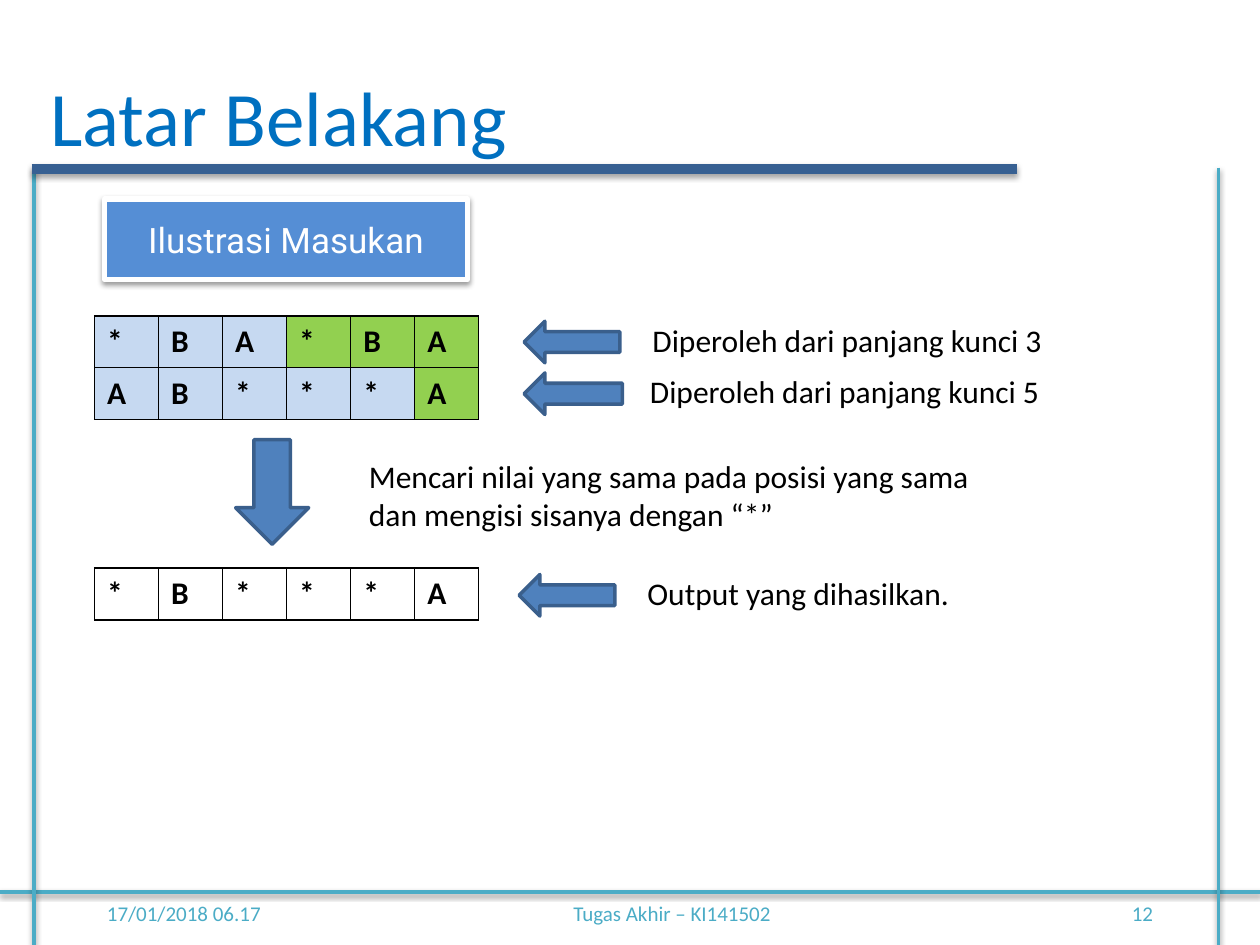
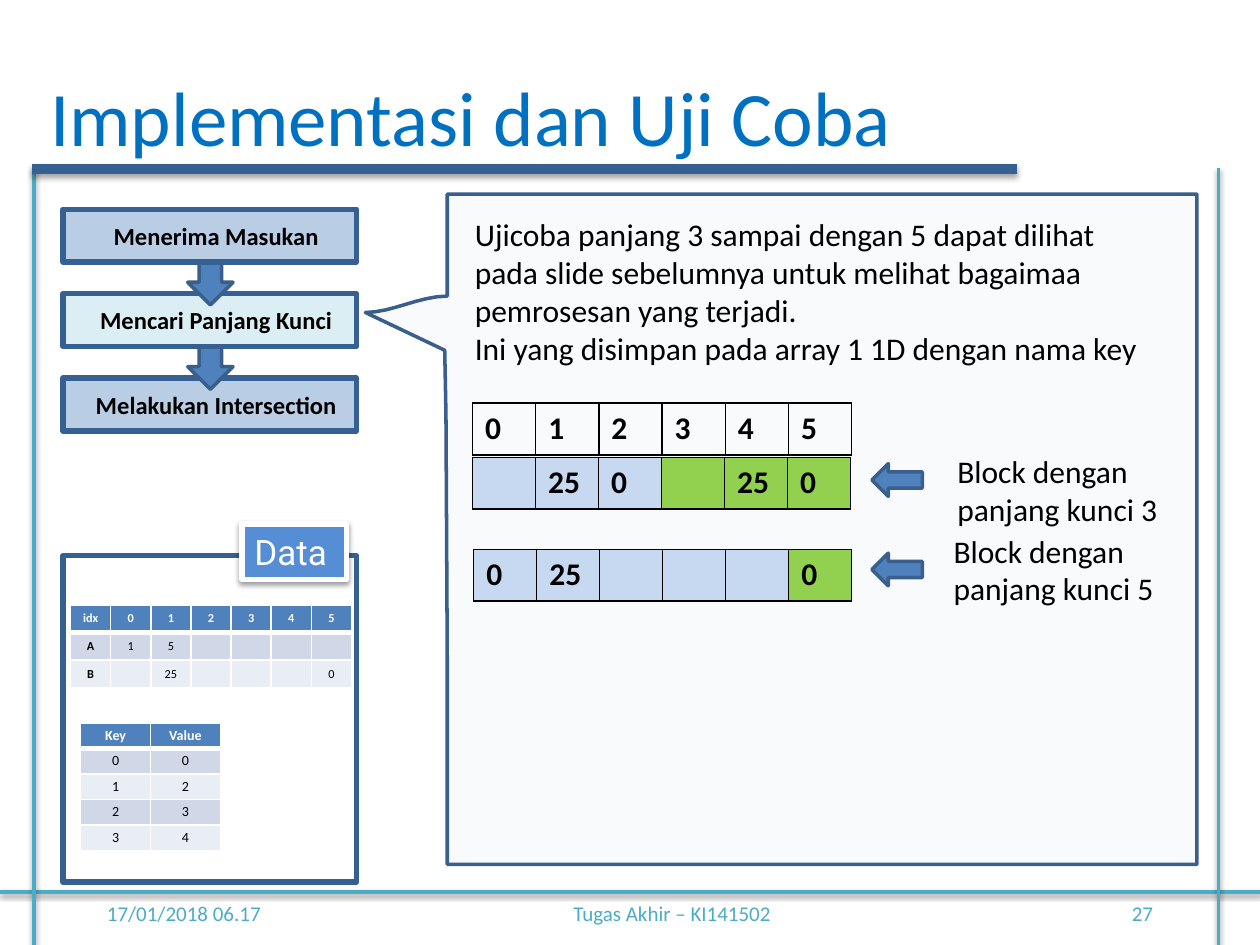
from lxml import etree
from pptx import Presentation
from pptx.dml.color import RGBColor
from pptx.enum.shapes import MSO_CONNECTOR, MSO_SHAPE
from pptx.enum.text import MSO_ANCHOR, PP_ALIGN
from pptx.oxml.ns import qn
from pptx.util import Inches, Pt

RECT, LEFT_ARROW, DOWN_ARROW = MSO_SHAPE.RECTANGLE, MSO_SHAPE.LEFT_ARROW, MSO_SHAPE.DOWN_ARROW
STRAIGHT = MSO_CONNECTOR.STRAIGHT
LEFT, CENTER, RIGHT = PP_ALIGN.LEFT, PP_ALIGN.CENTER, PP_ALIGN.RIGHT
TOP, MIDDLE = MSO_ANCHOR.TOP, MSO_ANCHOR.MIDDLE

BLACK, WHITE = "000000", "FFFFFF"
TEAL, TITLE, NAVY = "4BACC6", "0070C0", "376092"
BLUE, EDGE, LABEL = "4F81BD", "3A5F8C", "558ED5"
STEP, ACTIVE, PALE = "B9CDE5", "DBEEF4", "DCE6F2"
SKY, GREEN = "C6D9F1", "92D050"
BANDS = ["D0D8E8", "E9EDF4"]


def color(code):
    """Turn a hex string into a colour."""
    return RGBColor.from_string(code)


def node(parent, tag, **attrs):
    """Append a drawing element with its attributes."""
    return etree.SubElement(parent, qn(tag), {k: str(v) for k, v in attrs.items()})


def shade(shape, alpha=0, dist=1.6):
    """Replace the theme shadow by a soft one below, or by none."""
    effects = node(shape._element.spPr, "a:effectLst")
    if alpha:
        outer = node(effects, "a:outerShdw", blurRad=Pt(3.1), dist=Pt(dist),
                     dir=5400000, rotWithShape=0)
        tint = node(outer, "a:srgbClr", val=BLACK)
        node(tint, "a:alpha", val=alpha * 1000)


def edge(cell, side, code, width):
    """Draw one cell border; width 0 hides it."""
    line = node(cell._tc.get_or_add_tcPr(), "a:ln" + side, w=Pt(width))
    if width:
        node(node(line, "a:solidFill"), "a:srgbClr", val=code)
    else:
        node(line, "a:noFill")


def curve(start, first, second, end, steps=8):
    """Return the points of a cubic curve after its start."""
    points = []
    for i in range(1, steps + 1):
        t = i / steps
        u = 1 - t
        points.append(tuple(u**3 * a + 3 * u * u * t * b + 3 * u * t * t * c + t**3 * d
                            for a, b, c, d in zip(start, first, second, end)))
    return points


class Deck:
    """Holds the style and the slide being built."""

    def __init__(self):
        """Open an empty 10 by 7.5 inch deck."""
        self.prs = Presentation()
        self.prs.slide_width, self.prs.slide_height = Inches(10), Inches(7.5)
        self.slide = None

    def page(self, title, width, number):
        """Start a slide with its footer, rules and title."""
        self.slide = self.prs.slides.add_slide(self.prs.slide_layouts[6])
        for x, w, text, align in ((0.75, 2.08, "17/01/2018 06.17", LEFT),
                                  (3.75, 3.17, "Tugas Akhir – KI141502", CENTER),
                                  (7.17, 2.08, number, RIGHT)):
            self.text((x, 7, w, 0.5), text, 12, TEAL, align, MIDDLE)
        self.line(0, 7.08, 10, 7.08)
        for x in (0.27, 9.67):
            self.line(x, 1.33, x, 7.5)
        self.text((0.3, 0.5, width, 0.84), title, 44, TITLE, wrap=False)
        self.line(0.25, 1.34, 8.07, 1.34, NAVY, 6, 35, 1.8)

    def style(self, para, size, code, bold=False, align=LEFT, font="Calibri"):
        """Format a paragraph and its runs."""
        para.alignment = align
        for run in para.runs:
            run.font.name, run.font.size, run.font.bold = font, Pt(size), bold
            run.font.color.rgb = color(code)

    def text(self, box, text, size=18, code=BLACK, align=LEFT, anchor=TOP, wrap=True):
        """Add a text box, one paragraph a line."""
        frame = self.slide.shapes.add_textbox(*map(Inches, box)).text_frame
        frame.word_wrap, frame.vertical_anchor = wrap, anchor
        frame.text = text
        for para in frame.paragraphs:
            self.style(para, size, code, align=align)

    def line(self, x1, y1, x2, y2, code=TEAL, width=2, alpha=38, dist=1.6):
        """Add a shadowed rule."""
        rule = self.slide.shapes.add_connector(STRAIGHT, *map(Inches, (x1, y1, x2, y2)))
        rule.line.color.rgb, rule.line.width = color(code), Pt(width)
        shade(rule, alpha, dist)

    def shape(self, kind, box, fill, stroke, width, alpha=0):
        """Add a preset shape; no fill colour means hollow."""
        item = self.slide.shapes.add_shape(kind, *map(Inches, box))
        if fill:
            item.fill.solid()
            item.fill.fore_color.rgb = color(fill)
        else:
            item.fill.background()
        item.line.color.rgb, item.line.width = color(stroke), Pt(width)
        shade(item, alpha)
        return item

    def arrow(self, kind, *box):
        """Add a blue block arrow."""
        self.shape(kind, box, BLUE, EDGE, 2)

    def label(self, box, text, align=CENTER):
        """Add a white-framed heading label."""
        frame = self.shape(RECT, box, LABEL, WHITE, 3, 38).text_frame
        frame.text, frame.vertical_anchor = text, MIDDLE
        para = frame.paragraphs[0]
        self.style(para, 20, WHITE, align=align, font="Roboto")
        para.space_after = Pt(3)

    def step(self, y, text, fill):
        """Add one box of the process."""
        frame = self.shape(RECT, (0.5, y, 2.33, 0.42), fill, NAVY, 3).text_frame
        frame.text, frame.vertical_anchor = text, MIDDLE
        frame.margin_left = Inches(0.2)
        self.style(frame.paragraphs[0], 14, BLACK, True, CENTER)

    def bubble(self):
        """Add the see-through callout with its curved tail."""
        tip, base = (2.9, 2.48), (3.55, 2.35)
        points = [(9.5, 1.54), (9.5, 6.86), (3.55, 6.86), (3.55, 5.22), (3.54, 3.29),
                  (3.53, 2.78), tip, *curve(tip, (3.11, 2.48), (3.33, 2.35), base),
                  (3.55, 1.54)]
        points = [(Inches(x), Inches(y)) for x, y in points]
        path = self.slide.shapes.build_freeform(*points[0])
        path.add_line_segments(points[1:], close=True)
        item = path.convert_to_shape()
        item.fill.solid()
        item.fill.fore_color.rgb = color(PALE)
        tint = item._element.spPr.find(qn("a:solidFill"))[0]
        node(tint, "a:alpha", val=20000)
        item.line.color.rgb, item.line.width = color(EDGE), Pt(2)
        shade(item)

    def table(self, box, rows):
        """Add a plain table with equal columns and rows."""
        table = self.slide.shapes.add_table(len(rows), len(rows[0]),
                                            *map(Inches, box)).table
        table.first_row = table.horz_banding = False
        for col in table.columns:
            col.width = Inches(box[2] / len(rows[0]))
        for row in table.rows:
            row.height = Inches(box[3] / len(rows))
        return table

    def cell(self, cell, text, size, code, bold, align, fill, stroke, widths):
        """Fill one cell; widths are left, right, top and bottom."""
        for side, width in zip("LRTB", widths):
            edge(cell, side, stroke, width)
        if fill:
            cell.fill.solid()
            cell.fill.fore_color.rgb = color(fill)
        else:
            cell.fill.background()
        para = cell.text_frame.paragraphs[0]
        if text:
            para.text = text
        self.style(para, size, code, bold, align)
        if not text:
            node(para._p, "a:endParaRPr", sz=size * 100)

    def strip(self, x, y, width, values, fills, top=1):
        """Add a one-row array of bold values."""
        table = self.table((x, y, width, 0.41), [values])
        for cell, value, fill in zip(table.iter_cells(), values, fills):
            self.cell(cell, value, 18, BLACK, True, LEFT, fill, BLACK, (1, 1, top, 1))

    def grid(self, box, rows, size, pad, heads=False):
        """Add a banded table with a header row, maybe with row heads."""
        table = self.table(box, rows)
        for r, row in enumerate(rows):
            for c, value in enumerate(row):
                cell = table.cell(r, c)
                cell.margin_left = cell.margin_right = Inches(0.06)
                cell.margin_top = cell.margin_bottom = Inches(pad)
                self.cell(cell, value, size, BLACK if r else WHITE,
                          r == 0 or (heads and c == 0), CENTER,
                          BANDS[(r - 1) % 2] if r else BLUE, WHITE,
                          (1, 1, 3 if r == 1 else 1, 1 if r else 3))


deck = Deck()

# Input illustration
deck.page("Latar Belakang", 3.86, "12")
deck.label((0.83, 1.58, 2.88, 0.64), "Ilustrasi Masukan")
deck.strip(0.75, 2.51, 3.05, list("*BA*BA"), [SKY] * 3 + [GREEN] * 3)
deck.strip(0.75, 2.92, 3.05, list("AB***A"), [SKY] * 5 + [GREEN], top=0)
deck.arrow(LEFT_ARROW, 4.16, 2.55, 0.76, 0.33)
deck.arrow(LEFT_ARROW, 4.16, 2.96, 0.78, 0.33)
deck.text((5.08, 2.5, 3.46, 0.4), "Diperoleh dari panjang kunci 3")
deck.text((5.06, 2.9, 3.61, 0.4), "Diperoleh dari panjang kunci 5")
deck.arrow(DOWN_ARROW, 1.87, 3.49, 0.58, 0.83)
deck.text((2.83, 3.58, 5, 0.71),
          "Mencari nilai yang sama pada posisi yang sama dan mengisi sisanya dengan “*”")
deck.strip(0.75, 4.51, 3.05, list("*B***A"), [None] * 6)
deck.arrow(LEFT_ARROW, 4.12, 4.56, 0.76, 0.33)
deck.text((5.04, 4.51, 3.46, 0.4), "Output yang dihasilkan.")

# Key length search
deck.page("Implementasi dan Uji Coba", 6.95, "27")
deck.bubble()
deck.grid((0.64, 5.74, 1.11, 1.01),
          [["Key", "Value"], ["0", "0"], ["1", "2"], ["2", "3"], ["3", "4"]], 8, 0.03)
deck.shape(RECT, (0.5, 4.41, 2.33, 2.59), None, NAVY, 3)
deck.label((1.92, 4.16, 0.83, 0.44), "Data", LEFT)
steps = [("Menerima Masukan", STEP), ("Mencari Panjang Kunci", ACTIVE),
         ("Melakukan Intersection", STEP)]
for i in (2, 1, 0):
    y = 1.66 + 0.67 * i
    deck.step(y, *steps[i])
    if i:
        deck.arrow(DOWN_ARROW, 1.49, y - 0.33, 0.36, 0.42)
deck.grid((0.56, 4.8, 2.23, 0.66),
          [["idx", *"012345"], ["A", "1", "5", "", "", "", ""],
           ["B", "", "25", "", "", "", "0"]], 7, 0.05, heads=True)
deck.text((3.67, 1.66, 5.58, 1.31),
          "Ujicoba panjang 3 sampai dengan 5 dapat dilihat pada slide sebelumnya "
          "untuk melihat bagaimaa pemrosesan yang terjadi.\n"
          "Ini yang disimpan pada array 1 1D dengan nama key")
deck.strip(3.75, 3.63, 3, ["", "25", "0"] * 2, [SKY] * 3 + [GREEN] * 3)
deck.strip(3.76, 4.36, 3, ["0", "25", "", "", "", "0"], [SKY] * 5 + [GREEN])
for y in (3.68, 4.39):
    deck.arrow(LEFT_ARROW, 6.92, y, 0.4, 0.26)
deck.text((7.5, 3.54, 2, 0.71), "Block dengan panjang kunci 3")
deck.text((7.47, 4.17, 2, 0.71), "Block dengan panjang kunci 5")
deck.strip(3.75, 3.2, 3.01, list("012345"), [None] * 6)

deck.prs.save("out.pptx")
